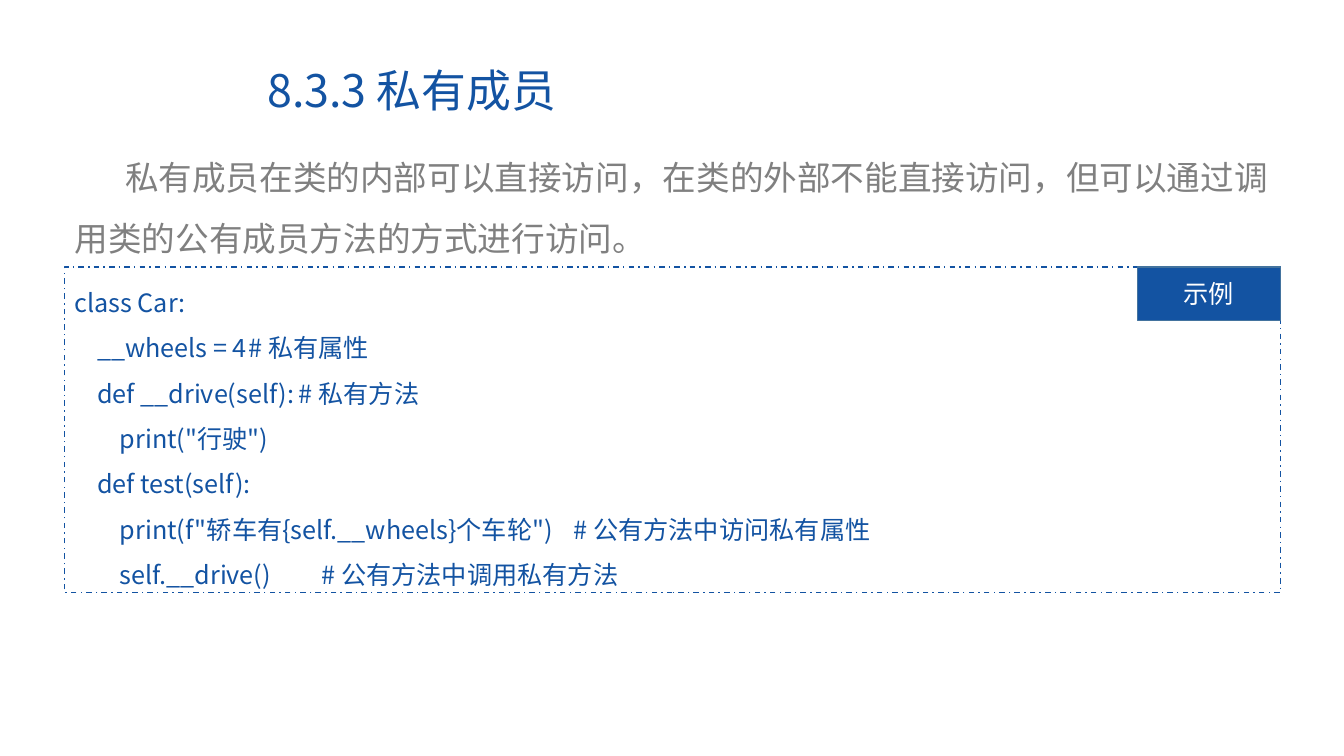
from lxml import etree
from pptx import Presentation
from pptx.dml.color import RGBColor
from pptx.enum.dml import MSO_LINE
from pptx.enum.shapes import MSO_SHAPE
from pptx.enum.text import MSO_ANCHOR, MSO_AUTO_SIZE, PP_ALIGN
from pptx.oxml.ns import qn
from pptx.util import Inches, Pt

FONT = "Noto Sans CJK SC"
BLUE = RGBColor(0x13, 0x53, 0xA2)
GRAY = RGBColor(0x80, 0x80, 0x80)
WHITE = RGBColor(0xFF, 0xFF, 0xFF)
TAG_LINE = RGBColor(0x43, 0x73, 0x9E)
LEFT, CENTER = PP_ALIGN.LEFT, PP_ALIGN.CENTER
TOP, MIDDLE = MSO_ANCHOR.TOP, MSO_ANCHOR.MIDDLE
RECT, DASH_DOT = MSO_SHAPE.RECTANGLE, MSO_LINE.DASH_DOT
NO_AUTOFIT = MSO_AUTO_SIZE.NONE

BOX_LEFT, BOX_TOP, BOX_WIDTH = 0.64, 2.65, 12.06
TAG_WIDTH = 1.42
CODE_INDENT = 0.225

CODE = [
    (0, "class Car:", None, None),
    (1, "__wheels = 4", "# 私有属性", 8),
    (1, "def __drive(self):", "# 私有方法", 8),
    (2, "print(\"行驶\")", None, None),
    (1, "def test(self):", None, None),
    (2, "print(f\"轿车有{self.__wheels}个车轮\")", "# 公有方法中访问私有属性", 8.25),
    (2, "self.__drive()", "# 公有方法中调用私有方法", 6),
]


def write(p, text, size=18, color=BLUE, align=LEFT, spacing=1.0,
          margin=0, indent=0, tab=None):
    """Fill a paragraph with formatted text."""
    r = p.add_run()
    r.text = text
    r.font.size = Pt(size)
    r.font.name = FONT
    r.font.color.rgb = color
    etree.SubElement(r.font._element, qn("a:ea")).set("typeface", FONT)
    p.alignment = align
    p.line_spacing = spacing
    p.space_before = Pt(0)
    pPr = p._p.get_or_add_pPr()
    pPr.set("marL", str(Inches(margin)))
    pPr.set("indent", str(Inches(indent)))
    etree.SubElement(pPr, qn("a:buNone"))
    if tab is not None:
        stops = etree.SubElement(pPr, qn("a:tabLst"))
        etree.SubElement(stops, qn("a:tab"), pos=str(Inches(tab)), algn="l")


def fill_placeholder(sp, left, top, width, height, text, anchor, **fmt):
    """Move a placeholder and write its single paragraph."""
    sp.left, sp.top = Inches(left), Inches(top)
    sp.width, sp.height = Inches(width), Inches(height)
    tf = sp.text_frame
    tf.word_wrap = True
    tf.auto_size = NO_AUTOFIT
    tf.vertical_anchor = anchor
    write(tf.paragraphs[0], text, **fmt)


def add_box(shapes, left, top, width, height, line, anchor, fill=None, dash=None):
    """Add an outlined rectangle and return its text frame."""
    sp = shapes.add_shape(RECT, Inches(left), Inches(top), Inches(width), Inches(height))
    sp.shadow.inherit = False
    if fill is None:
        sp.fill.background()
    else:
        sp.fill.solid()
        sp.fill.fore_color.rgb = fill
    sp.line.color.rgb = line
    sp.line.width = Pt(1)
    if dash is not None:
        sp.line.dash_style = dash
    tf = sp.text_frame
    tf.word_wrap = True
    tf.vertical_anchor = anchor
    return tf


def add_code(tf, lines):
    """Write code lines with indents and tabbed comments."""
    for i, (level, code, comment, tab) in enumerate(lines):
        p = tf.add_paragraph() if i else tf.paragraphs[0]
        text = f"{code}\t{comment}" if comment else code
        write(p, text, spacing=1.5, margin=level * CODE_INDENT, tab=tab)


def main():
    """Build the slide and save it."""
    prs = Presentation()
    prs.slide_width, prs.slide_height = Inches(13.33), Inches(7.5)
    s = prs.slides.add_slide(prs.slide_layouts[1])
    fill_placeholder(s.shapes.title, 2.55, 0.63, 9.14, 0.59, "8.3.3 私有成员",
                     MIDDLE, size=32, spacing=0.9)
    fill_placeholder(s.placeholders[1], BOX_LEFT, 1.31, BOX_WIDTH, 1.24,
                     "私有成员在类的内部可以直接访问，在类的外部不能直接访问，"
                     "但可以通过调用类的公有成员方法的方式进行访问。",
                     TOP, size=24, color=GRAY, spacing=1.5, indent=0.5)
    example = s.shapes.add_group_shape()
    tf = add_box(example.shapes, BOX_LEFT, BOX_TOP, BOX_WIDTH, 3.23, BLUE, TOP,
                 dash=DASH_DOT)
    add_code(tf, CODE)
    tag = add_box(example.shapes, BOX_LEFT + BOX_WIDTH - TAG_WIDTH, BOX_TOP,
                  TAG_WIDTH, 0.53, TAG_LINE, MIDDLE, fill=BLUE)
    write(tag.paragraphs[0], "示例", color=WHITE, align=CENTER)
    prs.save("out.pptx")


if __name__ == "__main__":
    main()
